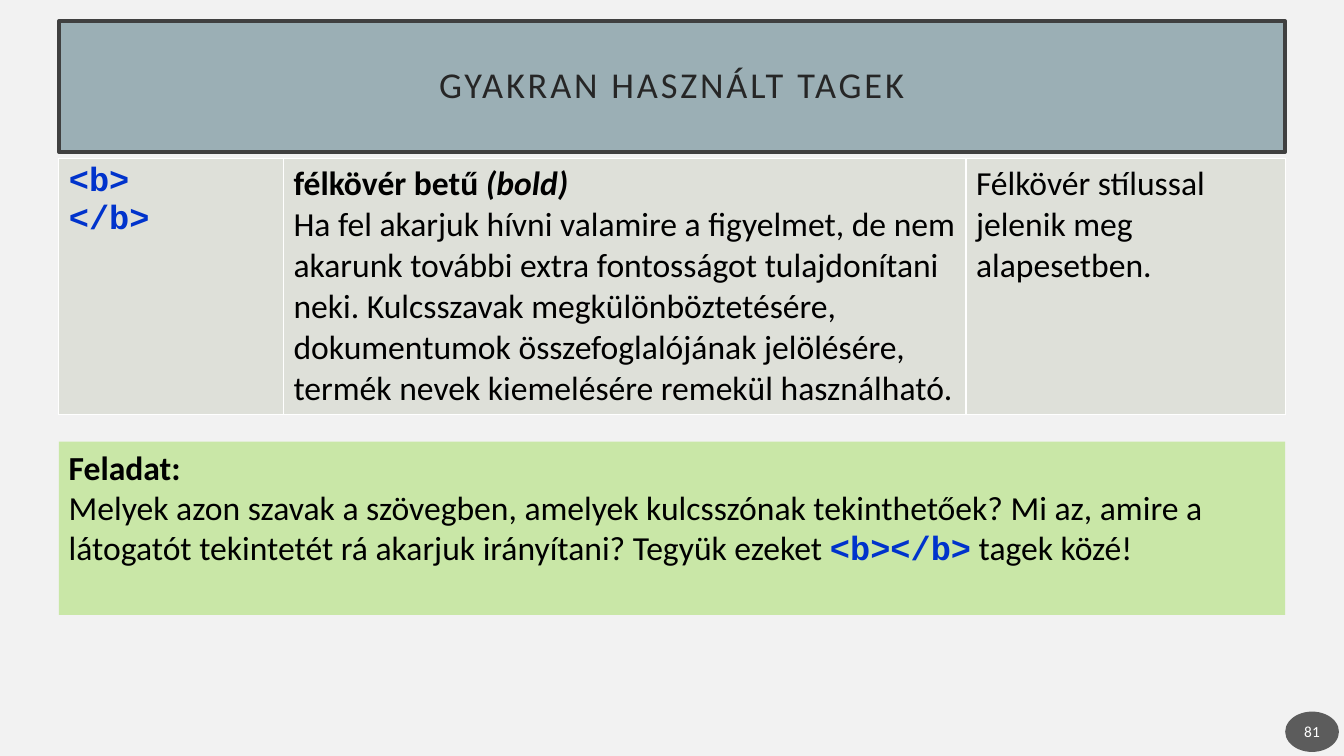
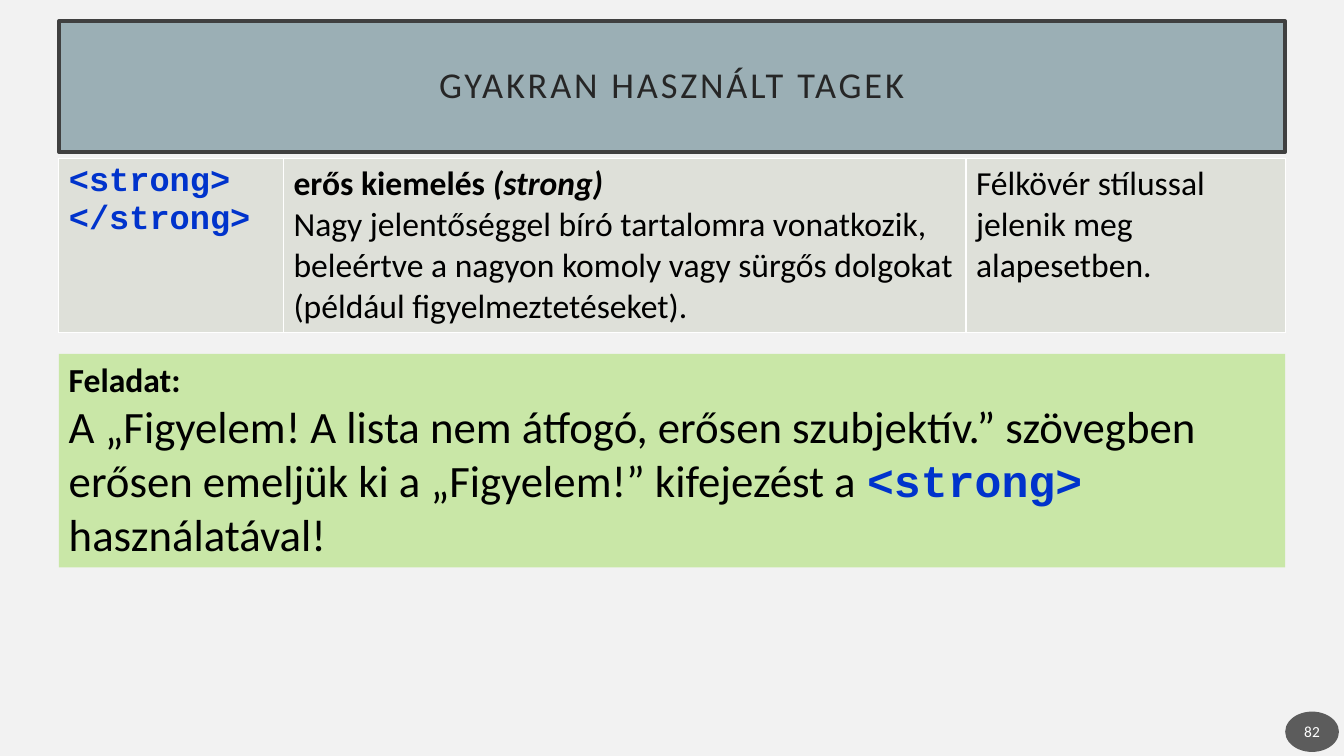
from lxml import etree
from pptx import Presentation
from pptx.dml.color import RGBColor
from pptx.enum.shapes import MSO_SHAPE
from pptx.enum.text import MSO_ANCHOR, PP_ALIGN
from pptx.oxml.ns import qn
from pptx.util import Pt

RECTANGLE, OVAL = MSO_SHAPE.RECTANGLE, MSO_SHAPE.OVAL
TOP, MIDDLE = MSO_ANCHOR.TOP, MSO_ANCHOR.MIDDLE
LEFT, CENTER = PP_ALIGN.LEFT, PP_ALIGN.CENTER

PAPER = RGBColor(0xF2, 0xF2, 0xF2)
BAND = RGBColor(0x9B, 0xAF, 0xB5)
BAND_EDGE = RGBColor(0x40, 0x40, 0x40)
TITLE_INK = RGBColor(0x26, 0x26, 0x26)
BADGE = RGBColor(0x1D, 0x1D, 0x1D)
CELL = RGBColor(0xDE, 0xE0, 0xD9)
TASK = RGBColor(0xC9, 0xE7, 0xA7)
CODE_INK = RGBColor(0x00, 0x33, 0xCC)
BLACK = RGBColor(0x00, 0x00, 0x00)
WHITE = RGBColor(0xFF, 0xFF, 0xFF)

BODY_FONT, CODE_FONT = "Calibri", "Courier New"
MARGIN, CONTENT_WIDTH = 42, 876
COLUMN_WIDTHS = (160.5, 487.5, 228)
TABLE_TOP = 113
CODE = dict(font=CODE_FONT, color=CODE_INK, bold=True)


def write(paragraph, text, size=24, font=BODY_FONT, color=BLACK,
          bold=False, italic=False, tracking=None):
    for index, line in enumerate(text.split("\n")):
        if index:
            paragraph.add_line_break()
        run = paragraph.add_run()
        run.text = line
        run.font.size = Pt(size)
        run.font.name = font
        run.font.color.rgb = color
        run.font.bold = bold
        run.font.italic = italic
        if tracking:
            run.font._element.set("spc", str(tracking * 100))


def write_paragraphs(frame, paragraphs):
    for index, runs in enumerate(paragraphs):
        paragraph = frame.add_paragraph() if index else frame.paragraphs[0]
        paragraph.alignment = LEFT
        for text, style in runs:
            write(paragraph, text, **style)


class Deck:
    def __init__(self):
        self.presentation = Presentation()
        self.presentation.slide_width = Pt(960)
        self.presentation.slide_height = Pt(540)
        background = self.presentation.slide_master.background.fill
        background.solid()
        background.fore_color.rgb = PAPER
        self.slide = None

    def start_slide(self, title, number):
        self.slide = self.presentation.slides.add_slide(
            self.presentation.slide_layouts[6])
        self.title_band(title)
        self.number_badge(number)

    def panel(self, kind, left, top, width, height, color, anchor=TOP):
        panel = self.slide.shapes.add_shape(
            kind, Pt(left), Pt(top), Pt(width), Pt(height))
        panel.shadow.inherit = False
        panel.fill.solid()
        panel.fill.fore_color.rgb = color
        panel.line.fill.background()
        panel.text_frame.word_wrap = True
        panel.text_frame.vertical_anchor = anchor
        return panel

    def title_band(self, title):
        band = self.panel(RECTANGLE, MARGIN, 15, CONTENT_WIDTH, 93.6, BAND, MIDDLE)
        band.line.color.rgb = BAND_EDGE
        band.line.width = Pt(2.5)
        frame = band.text_frame
        frame.margin_left = frame.margin_right = Pt(14.4)
        frame.margin_top = frame.margin_bottom = Pt(14.4)
        heading = frame.paragraphs[0]
        heading.alignment = CENTER
        heading.line_spacing = 0.9
        write(heading, title, size=26, color=TITLE_INK, tracking=2)

    def number_badge(self, number):
        badge = self.panel(OVAL, MARGIN + CONTENT_WIDTH, 508.3, 38.4, 28.8,
                           BADGE, MIDDLE)
        tint = badge.fill._xPr.find(qn("a:solidFill"))[0]
        etree.SubElement(tint, qn("a:alpha")).set("val", "70000")
        frame = badge.text_frame
        frame.margin_left = frame.margin_right = Pt(1.44)
        label = frame.paragraphs[0]
        label.alignment = CENTER
        write(label, str(number), size=11, color=WHITE)

    def tag_table(self, height, tag, name, english, meaning, rendering):
        table = self.slide.shapes.add_table(
            1, len(COLUMN_WIDTHS), Pt(MARGIN), Pt(TABLE_TOP),
            Pt(CONTENT_WIDTH), Pt(height)).table
        table.first_row = table.horz_banding = False
        contents = (
            [[(tag, CODE)]],
            [[(name, dict(bold=True)), (english, dict(bold=True, italic=True))],
             [(meaning, {})]],
            [[(rendering, {})]],
        )
        for index, width in enumerate(COLUMN_WIDTHS):
            table.columns[index].width = Pt(width)
            cell = table.cell(0, index)
            self.cell_borders(cell)
            cell.fill.solid()
            cell.fill.fore_color.rgb = CELL
            write_paragraphs(cell.text_frame, contents[index])

    def cell_borders(self, cell):
        properties = cell._tc.get_or_add_tcPr()
        for side in ("a:lnL", "a:lnR", "a:lnT", "a:lnB"):
            border = etree.SubElement(properties, qn(side), w=str(Pt(1)))
            fill = etree.SubElement(border, qn("a:solidFill"))
            etree.SubElement(fill, qn("a:srgbClr"), val=str(WHITE))

    def task_box(self, top, height, instruction):
        box = self.panel(RECTANGLE, MARGIN, top, CONTENT_WIDTH, height, TASK)
        write_paragraphs(box.text_frame,
                         [[("Feladat:", dict(bold=True))], instruction])


def main():
    deck = Deck()
    title = "GYAKRAN HASZNÁLT TAGEK"
    rendering = "Félkövér stílussal jelenik meg alapesetben."

    deck.start_slide(title, 81)
    deck.tag_table(
        183, "<b>\n</b>", "félkövér betű ", "(bold)",
        "Ha fel akarjuk hívni valamire a figyelmet, de nem akarunk további "
        "extra fontosságot tulajdonítani neki. Kulcsszavak "
        "megkülönböztetésére, dokumentumok összefoglalójának jelölésére, "
        "termék nevek kiemelésére remekül használható.", rendering)
    deck.task_box(315.4, 123.8, [
        ("Melyek azon szavak a szövegben, amelyek kulcsszónak tekinthetőek? "
         "Mi az, amire a látogatót tekintetét rá akarjuk irányítani? "
         "Tegyük ezeket ", {}),
        ("<b></b>", CODE),
        (" tagek közé!", {}),
    ])

    deck.start_slide(title, 82)
    deck.tag_table(
        124.4, "<strong> </strong>", "erős kiemelés ", "(strong)",
        "Nagy jelentőséggel bíró tartalomra vonatkozik, beleértve a nagyon "
        "komoly vagy sürgős dolgokat (például figyelmeztetéseket).", rendering)
    large = dict(size=32)
    deck.task_box(252.7, 152.6, [
        ("A „Figyelem! A lista nem átfogó, erősen szubjektív.” szövegben "
         "erősen emeljük ki a „Figyelem!” kifejezést a ", large),
        ("<strong> ", CODE | large),
        ("használatával!", large),
    ])

    deck.presentation.save("out.pptx")


if __name__ == "__main__":
    main()
